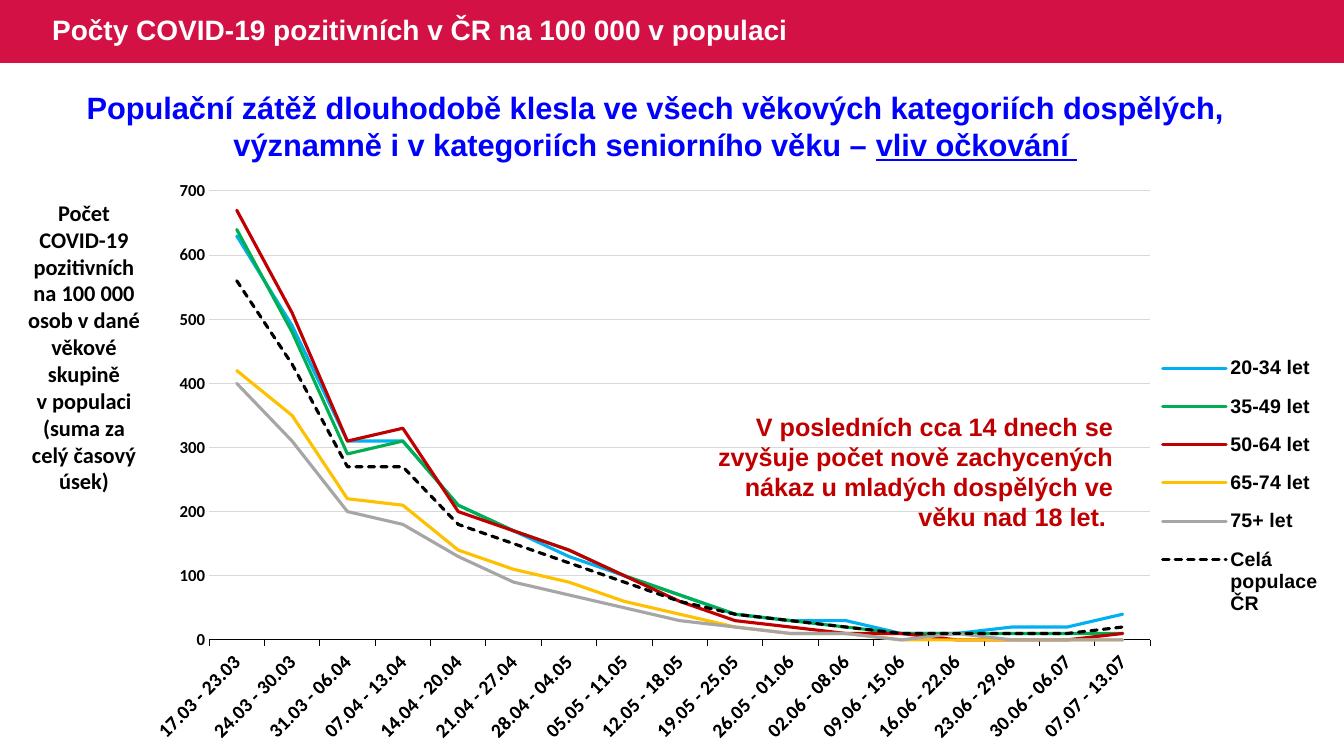
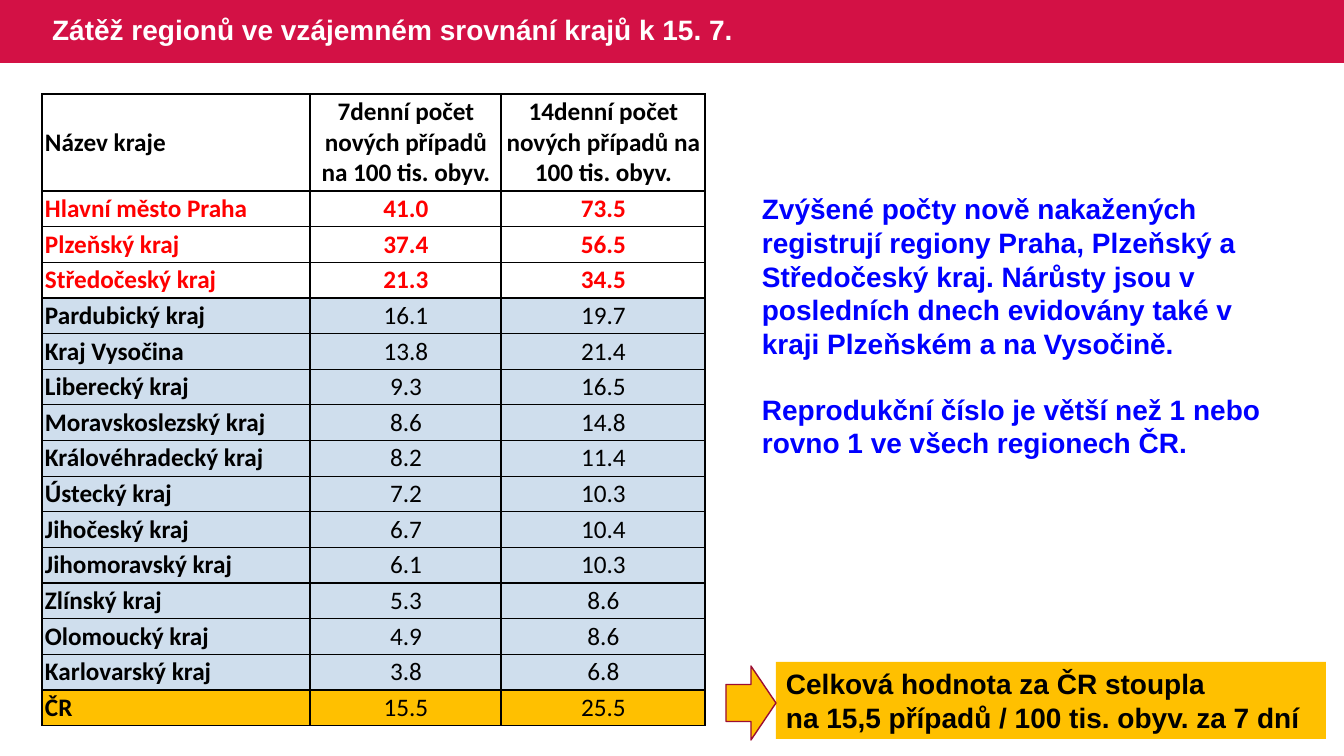
import lxml.etree
import pptx
import pptx.chart.data
import pptx.dml.color
import pptx.enum.chart
import pptx.enum.dml
import pptx.enum.shapes
import pptx.enum.text
import pptx.oxml.ns
import pptx.util

RGB = pptx.dml.color.RGBColor
ALIGN = pptx.enum.text.PP_ALIGN
ANCHOR = pptx.enum.text.MSO_ANCHOR
SHAPE = pptx.enum.shapes.MSO_SHAPE
TICK = pptx.enum.chart.XL_TICK_MARK
qn = pptx.oxml.ns.qn

CRIMSON = RGB(0xD3, 0x11, 0x45)
DARK_CRIMSON = RGB(0x9C, 0x0D, 0x33)
WHITE = RGB(0xFF, 0xFF, 0xFF)
BLACK = RGB(0, 0, 0)
BLUE = RGB(0, 0, 0xFF)
RED = RGB(0xFF, 0, 0)
DARK_RED = RGB(0xC0, 0, 0)
GOLD = RGB(0xFF, 0xC0, 0)
PALE_BLUE = RGB(0xCF, 0xDE, 0xED)
SKY = RGB(0, 0xB0, 0xF0)
GREEN = RGB(0, 0xB0, 0x50)
GREY = RGB(0xA6, 0xA6, 0xA6)
GRID = RGB(0xD9, 0xD9, 0xD9)

WIDTH, HEIGHT = 1344, 756
BAND_HEIGHT = 63
NO_BREAK = chr(160)

WEEKS = [
    "17.03 - 23.03", "24.03 - 30.03", "31.03 - 06.04", "07.04 - 13.04",
    "14.04 - 20.04", "21.04 - 27.04", "28.04 - 04.05", "05.05 - 11.05",
    "12.05 - 18.05", "19.05 - 25.05", "26.05 - 01.06", "02.06 - 08.06",
    "09.06 - 15.06", "16.06 - 22.06", "23.06 - 29.06", "30.06 - 06.07",
    "07.07 - 13.07",
]
AGE_GROUPS = [
    ("20-34 let", SKY, [630, 490, 310, 310, 210, 170, 130, 100, 70, 40, 30, 30, 10, 10, 20, 20, 40]),
    ("35-49 let", GREEN, [640, 480, 290, 310, 210, 170, 140, 100, 70, 40, 30, 20, 10, 10, 10, 10, 10]),
    ("50-64 let", DARK_RED, [670, 510, 310, 330, 200, 170, 140, 100, 60, 30, 20, 10, 10, 0, 0, 0, 10]),
    ("65-74 let", GOLD, [420, 350, 220, 210, 140, 110, 90, 60, 40, 20, 10, 10, 0, 0, 0, 0, 0]),
    ("75+ let", GREY, [400, 310, 200, 180, 130, 90, 70, 50, 30, 20, 10, 10, 0, 10, 0, 0, 0]),
    ("Celá populace ČR", BLACK, [560, 430, 270, 270, 180, 150, 120, 90, 60, 40, 30, 20, 10, 10, 10, 10, 20]),
]
REGION_HEADER = (
    "Název kraje",
    "7denní počet nových případů na 100 tis. obyv.",
    "14denní počet nových případů na 100 tis. obyv.",
)
REGIONS = [
    ("Hlavní město Praha", "41.0", "73.5"),
    ("Plzeňský kraj", "37.4", "56.5"),
    ("Středočeský kraj", "21.3", "34.5"),
    ("Pardubický kraj", "16.1", "19.7"),
    ("Kraj Vysočina", "13.8", "21.4"),
    ("Liberecký kraj", "9.3", "16.5"),
    ("Moravskoslezský kraj", "8.6", "14.8"),
    ("Královéhradecký kraj", "8.2", "11.4"),
    ("Ústecký kraj", "7.2", "10.3"),
    ("Jihočeský kraj", "6.7", "10.4"),
    ("Jihomoravský kraj", "6.1", "10.3"),
    ("Zlínský kraj", "5.3", "8.6"),
    ("Olomoucký kraj", "4.9", "8.6"),
    ("Karlovarský kraj", "3.8", "6.8"),
    ("ČR", "15.5", "25.5"),
]
HIGHLIGHTED_REGIONS = 3


def px(length):
    return pptx.util.Emu(round(length * 12192000 / WIDTH))


def set_font(font, size, color, name="Arial", bold=True):
    font.name = name
    font.size = pptx.util.Pt(size)
    font.bold = bold
    font.color.rgb = color


def fill_text(frame, lines, size, color, name="Arial", align=ALIGN.LEFT, gap=0):
    frame.word_wrap = True
    for index, line in enumerate(lines):
        para = frame.add_paragraph() if index else frame.paragraphs[0]
        para.alignment = align
        if index and gap:
            para.space_before = pptx.util.Pt(gap)
        set_font(para.font, size, color, name)
        para.add_run().text = line


def add_text(slide, area, lines, size, color, **style):
    box = slide.shapes.add_textbox(*map(px, area))
    fill_text(box.text_frame, lines, size, color, **style)
    return box


def add_filled_shape(slide, kind, area, fill, line=None):
    shape = slide.shapes.add_shape(kind, *map(px, area))
    shape.shadow.inherit = False
    shape.fill.solid()
    shape.fill.fore_color.rgb = fill
    if line is None:
        shape.line.fill.background()
    else:
        shape.line.color.rgb = line
        shape.line.width = pptx.util.Pt(1)
    return shape


def prepare_layout(layout, slide):
    band = add_filled_shape(slide, SHAPE.RECTANGLE, (0, 0, WIDTH, BAND_HEIGHT), CRIMSON)
    layout.shapes.element.insert(2, band.element)
    for holder in list(layout.placeholders):
        if holder.placeholder_format.type == pptx.enum.shapes.PP_PLACEHOLDER.TITLE:
            holder.left, holder.top, holder.width, holder.height = map(px, (42, 0, 844, BAND_HEIGHT))
        else:
            holder.element.getparent().remove(holder.element)


def set_title(slide, text):
    frame = slide.shapes.title.text_frame
    fill_text(frame, [text], 20, WHITE)
    frame.auto_size = pptx.enum.text.MSO_AUTO_SIZE.NONE
    frame.vertical_anchor = ANCHOR.MIDDLE
    frame.paragraphs[0].line_spacing = 0.9


def set_manual_layout(parent, index, inner, chart_size, area):
    for old in parent.findall(qn("c:layout")):
        parent.remove(old)
    layout = lxml.etree.Element(qn("c:layout"))
    parent.insert(index, layout)
    manual = lxml.etree.SubElement(layout, qn("c:manualLayout"))
    settings = [("layoutTarget", "inner")] if inner else []
    settings += [("xMode", "edge"), ("yMode", "edge")]
    settings += [(tag, length / full) for tag, length, full in zip("xywh", area, chart_size * 2)]
    for tag, value in settings:
        lxml.etree.SubElement(manual, qn("c:" + tag)).set("val", str(value))


def style_axes(chart):
    weeks = chart.category_axis
    set_font(weeks.tick_labels.font, 14, BLACK, "Calibri")
    weeks.major_tick_mark = TICK.OUTSIDE
    weeks.format.line.color.rgb = BLACK
    weeks.format.line.width = pptx.util.Pt(0.75)
    chart.element.xpath(".//c:catAx/c:txPr/a:bodyPr")[0].set("rot", "-2700000")

    counts = chart.value_axis
    set_font(counts.tick_labels.font, 12, BLACK, "Calibri")
    counts.tick_labels.number_format = "0"
    counts.tick_labels.number_format_is_linked = False
    counts.minimum_scale, counts.maximum_scale, counts.major_unit = 0, 700, 100
    counts.major_tick_mark = TICK.NONE
    counts.format.line.fill.background()
    counts.major_gridlines.format.line.color.rgb = GRID
    counts.major_gridlines.format.line.width = pptx.util.Pt(0.75)


def add_trend_chart(slide, area):
    data = pptx.chart.data.CategoryChartData()
    data.categories = WEEKS
    for name, _, values in AGE_GROUPS:
        data.add_series(name, values)
    chart = slide.shapes.add_chart(
        pptx.enum.chart.XL_CHART_TYPE.LINE, *map(px, area), data
    ).chart
    set_font(chart.font, 14, BLACK)
    chart.has_title = False
    chart.plots[0].vary_by_categories = False
    style_axes(chart)
    for series, (_, color, _) in zip(chart.plots[0].series, AGE_GROUPS):
        series.smooth = False
        series.format.line.color.rgb = color
        series.format.line.width = pptx.util.Pt(2.25)
    series.format.line.dash_style = pptx.enum.dml.MSO_LINE.SQUARE_DOT
    for line in chart.element.xpath(".//c:ser/c:spPr/a:ln"):
        line.set("cap", "rnd")

    chart.has_legend = True
    chart.legend.position = pptx.enum.chart.XL_LEGEND_POSITION.RIGHT
    chart.legend.include_in_layout = False
    set_font(chart.legend.font, 14, BLACK)
    chart_size = area[2:]
    set_manual_layout(chart.element.xpath(".//c:plotArea")[0], 0, True, chart_size, (53, 15, 944, 449))
    set_manual_layout(chart.element.xpath(".//c:legend")[0], 1, False, chart_size, (1012, 165, 163, 290))


def set_borders(cell):
    properties = cell._tc.get_or_add_tcPr()
    for side in ("lnL", "lnR", "lnT", "lnB"):
        line = lxml.etree.SubElement(properties, qn("a:" + side), w="12700")
        fill = lxml.etree.SubElement(line, qn("a:solidFill"))
        lxml.etree.SubElement(fill, qn("a:srgbClr"), val=str(BLACK))


def region_style(row):
    if row == 0:
        return WHITE, BLACK, True
    if row <= HIGHLIGHTED_REGIONS:
        return WHITE, RED, True
    return GOLD if row == len(REGIONS) else PALE_BLUE, BLACK, False


def add_region_table(slide, left, top, widths, header_height, body_height):
    rows = [REGION_HEADER] + REGIONS
    table = slide.shapes.add_table(
        len(rows), len(widths), px(left), px(top), px(sum(widths)), px(header_height + body_height)
    ).table
    table.first_row = table.horz_banding = False
    for column, width in zip(table.columns, widths):
        column.width = px(width)
    for index, texts in enumerate(rows):
        table.rows[index].height = px(body_height / len(REGIONS) if index else header_height)
        fill, color, bold_values = region_style(index)
        for column, text in enumerate(texts):
            cell = table.cell(index, column)
            set_borders(cell)
            cell.fill.solid()
            cell.fill.fore_color.rgb = fill
            cell.vertical_anchor = ANCHOR.MIDDLE
            cell.margin_left = px(3)
            cell.margin_right = cell.margin_top = cell.margin_bottom = px(2)
            align = ALIGN.CENTER if column else ALIGN.LEFT
            fill_text(cell.text_frame, [text], 18, color, "Calibri", align)
            cell.text_frame.paragraphs[0].font.bold = bold_values or column == 0


def build_trend_slide(slide):
    set_title(slide, "Počty COVID-19 pozitivních v ČR na 100 000 v populaci")
    add_trend_chart(slide, (153, 176, 1175, 592))
    add_text(
        slide, (15, 194, 138, 308),
        [f"Počet COVID-19 pozitivních na{NO_BREAK}100{NO_BREAK}000 osob v dané věkové skupině "
         f"v{NO_BREAK}populaci (suma za celý časový úsek)"],
        16, BLACK, name="Calibri", align=ALIGN.CENTER,
    )
    headline = add_text(
        slide, (30, 84, 1251, 85),
        ["Populační zátěž dlouhodobě klesla ve všech věkových kategoriích dospělých,",
         "významně i v kategoriích seniorního věku – "],
        22, BLUE, align=ALIGN.CENTER,
    )
    emphasis = headline.text_frame.paragraphs[1].add_run()
    emphasis.text = "vliv očkování "
    emphasis.font.underline = True
    add_text(
        slide, (698, 406, 425, 132),
        ["V posledních cca 14 dnech se zvyšuje počet nově zachycených nákaz u mladých dospělých ve věku nad 18 let. "],
        18, DARK_RED, align=ALIGN.RIGHT,
    )


def build_region_slide(slide):
    set_title(slide, "Zátěž regionů ve vzájemném srovnání krajů k 15. 7.")
    add_text(
        slide, (752, 187, 549, 282),
        ["Zvýšené počty nově nakažených registrují regiony Praha, Plzeňský a Středočeský kraj. "
         "Nárůsty jsou v posledních dnech evidovány také v kraji Plzeňském a na Vysočině.",
         "Reprodukční číslo je větší než 1 nebo rovno 1 ve všech regionech ČR."],
        20, BLUE, gap=23,
    )
    add_region_table(slide, 42, 94, (268, 191, 204), 97, 535)
    total = add_filled_shape(slide, SHAPE.RECTANGLE, (776, 662, 550, 77), GOLD)
    fill_text(
        total.text_frame,
        ["Celková hodnota za ČR stoupla", "na 15,5 případů / 100 tis. obyv. za 7 dní"],
        20, BLACK,
    )
    add_filled_shape(slide, SHAPE.RIGHT_ARROW, (726, 666, 50, 74), GOLD, DARK_CRIMSON)


def main():
    deck = pptx.Presentation()
    deck.slide_width, deck.slide_height = px(WIDTH), px(HEIGHT)
    layout = deck.slide_layouts.get_by_name("Title Only")
    pages = [deck.slides.add_slide(layout) for _ in range(2)]
    prepare_layout(layout, pages[0])
    build_trend_slide(pages[0])
    build_region_slide(pages[1])
    deck.save("out.pptx")


if __name__ == "__main__":
    main()
